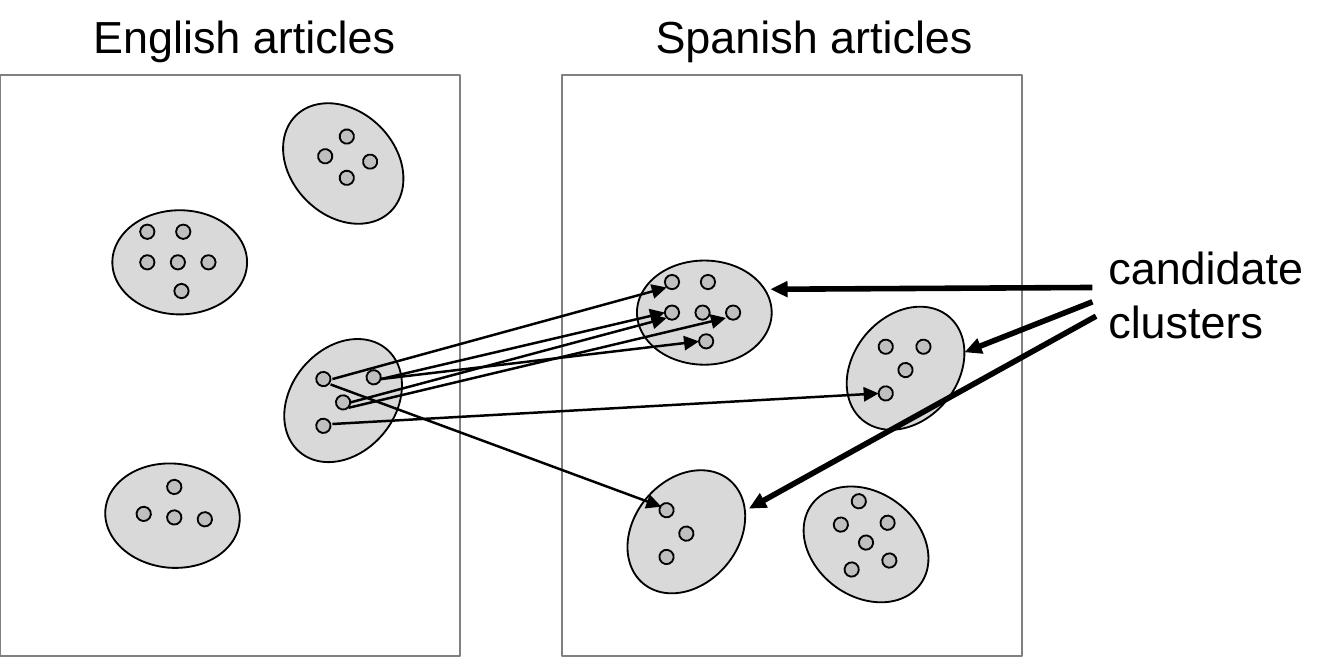
from pptx import Presentation
from pptx.dml.color import RGBColor
from pptx.enum.shapes import MSO_CONNECTOR, MSO_SHAPE
from pptx.enum.text import MSO_ANCHOR
from pptx.oxml.ns import qn
from pptx.util import Inches, Pt
from lxml import etree

RECT, OVAL = MSO_SHAPE.RECTANGLE, MSO_SHAPE.OVAL
STRAIGHT = MSO_CONNECTOR.STRAIGHT
COLORS = {"panel": "FFFFFF", "frame": "808080", "cluster": "D9D9D9",
          "article": "BFBFBF", "ink": "000000"}
FONT = "Arial"

# Content: panels and labels as left, top, width, height in inches
PANEL_TOP, PANEL_W, PANEL_H = 0.42, 2.56, 3.23
PANELS = [0, 3.13]
LABELS = [
    (["English articles"], (0.42, 0, 1.89, 0.4)),
    (["Spanish articles"], (3.55, 0, 1.98, 0.4)),
    (["candidate", "clusters"], (6.07, 1.28, 1.29, 0.71)),
]

# Article positions, measured from the centre of their cluster
CLUSTER_W, CLUSTER_H, DOT = 0.75, 0.58, 0.08
SIX = [(-0.18, -0.17), (0.02, -0.17), (-0.18, 0), (-0.01, 0), (0.16, 0), (0.01, 0.16)]
TRIO = [(0, 0.01), (-0.11, -0.12), (-0.11, 0.14)]
CROSS = [(0.01, 0.01), (0.18, 0.02), (0.01, -0.16), (-0.16, -0.01)]
DIAMOND = [(0.02, -0.15), (0.02, 0.08), (0.15, -0.01), (-0.1, -0.04)]
RING = [(-0.04, -0.24), (0, -0.01), (0.12, -0.12), (-0.14, -0.11),
        (-0.08, 0.14), (0.13, 0.09)]

# Clusters: centre x, centre y, rotation, articles
CLUSTERS = [
    (1.0, 1.46, 0, SIX),
    (0.96, 2.87, 185.1, CROSS),
    (3.92, 1.74, 0, SIX),
    (5.04, 2.05, 309.9, TRIO + [(0.1, -0.12)]),
    (4.82, 3.03, 36.3, RING),
    (1.91, 0.91, 45.2, DIAMOND),
    (1.91, 2.23, 309.9, TRIO + [(0.17, -0.13)]),
    (3.82, 2.96, 309.9, TRIO),
]

# Arrows by line width: start and end points
ARROWS = {
    1: [((2.12, 2.11), (3.7, 1.74)), ((2.12, 2.11), (3.89, 1.9)),
        ((1.94, 2.27), (4.04, 1.77)), ((1.95, 2.24), (3.71, 1.77)),
        ((1.85, 2.11), (3.71, 1.6)), ((1.84, 2.14), (3.68, 2.82)),
        ((1.85, 2.36), (4.89, 2.19))],
    2.25: [((6.08, 1.6), (4.29, 1.61)), ((6.1, 1.76), (4.17, 2.83)),
           ((6.08, 1.68), (5.37, 1.96))],
}


def color(name):
    return RGBColor.from_string(COLORS[name])


def add_shape(kind, box, fill, line="ink", rotation=0):
    sp = s.shapes.add_shape(kind, *map(Inches, box))
    sp.shadow.inherit = False
    sp.fill.solid()
    sp.fill.fore_color.rgb = color(fill)
    sp.line.color.rgb = color(line)
    sp.line.width = Pt(0.75)
    sp.rotation = rotation


def add_oval(cx, cy, w, h, fill, rotation):
    add_shape(OVAL, (cx - w / 2, cy - h / 2, w, h), fill, rotation=rotation)


def add_text(lines, box, size=18, ink="ink"):
    tf = s.shapes.add_textbox(*map(Inches, box)).text_frame
    tf.word_wrap = False
    tf.vertical_anchor = MSO_ANCHOR.MIDDLE
    for i, line in enumerate(lines):
        p = tf.paragraphs[0] if i == 0 else tf.add_paragraph()
        r = p.add_run()
        r.text = line
        r.font.name, r.font.size = FONT, Pt(size)
        r.font.color.rgb = color(ink)


def add_arrow(start, end, width):
    c = s.shapes.add_connector(STRAIGHT, *map(Inches, start + end))
    c.line.color.rgb = color("ink")
    c.line.width = Pt(width)
    etree.SubElement(c.line._get_or_add_ln(), qn("a:tailEnd"), type="triangle")
    etree.SubElement(c._element.spPr, qn("a:effectLst"))


prs = Presentation()
prs.slide_width, prs.slide_height = Inches(7.48), Inches(3.74)
s = prs.slides.add_slide(prs.slide_layouts[6])

# Panels and labels
for left in PANELS:
    add_shape(RECT, (left, PANEL_TOP, PANEL_W, PANEL_H), "panel", "frame")
for lines, box in LABELS:
    add_text(lines, box)

# Clusters with their articles
for cx, cy, rotation, articles in CLUSTERS:
    add_oval(cx, cy, CLUSTER_W, CLUSTER_H, "cluster", rotation)
    for dx, dy in articles:
        add_oval(cx + dx, cy + dy, DOT, DOT, "article", rotation)

# Article links and pointers to the candidate clusters
for width, arrows in ARROWS.items():
    for start, end in arrows:
        add_arrow(start, end, width)

prs.save("out.pptx")
